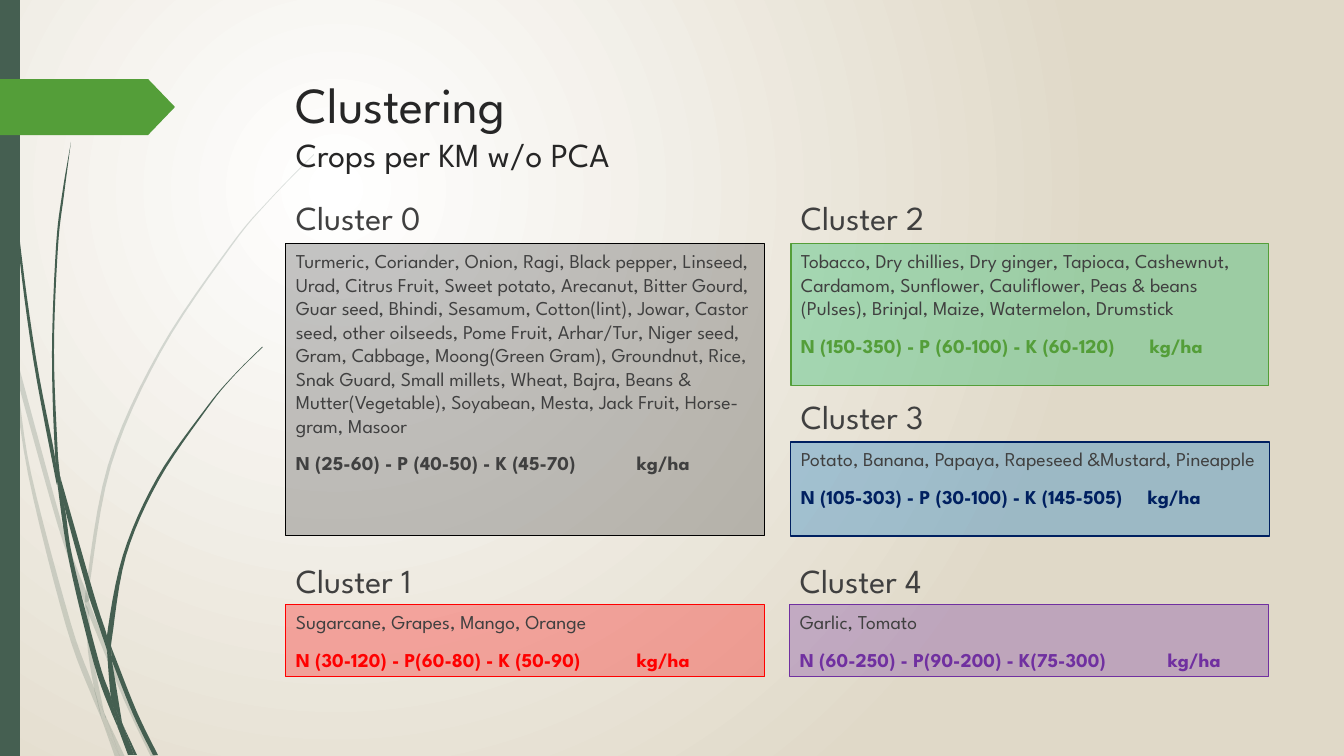
from lxml.etree import SubElement
from pptx import Presentation
from pptx.dml.color import RGBColor
from pptx.enum.shapes import MSO_SHAPE
from pptx.enum.text import MSO_ANCHOR, PP_ALIGN
from pptx.oxml.ns import qn
from pptx.util import Pt

EMU_PER_PX = 914400 / 100.8

WHITE = RGBColor(0xFF, 0xFF, 0xFF)
SAND = RGBColor(0xE0, 0xD9, 0xC8)
PINE = RGBColor(0x45, 0x5F, 0x51)
LEAF = RGBColor(0x54, 0x9E, 0x39)
INK = RGBColor(0x26, 0x26, 0x26)
GREY = RGBColor(0x40, 0x40, 0x40)
BLACK = RGBColor(0x00, 0x00, 0x00)
RED = RGBColor(0xFF, 0x00, 0x00)
GREEN = RGBColor(0x00, 0xB0, 0x50)
BLUE = RGBColor(0x00, 0x70, 0xC0)
NAVY = RGBColor(0x00, 0x20, 0x60)
PURPLE = RGBColor(0x70, 0x30, 0xA0)

# Grass pieces: points along one edge, then back along the other
PALE_GRASS = [
    ([(0, 284), (9, 325), (11, 353)], [(10, 347), (0, 301)]),
    ([(14, 348), (62, 524), (86, 591)], [(85, 604), (58, 526), (17, 379)]),
    ([(89, 601), (93, 612), (128, 698), (156, 757)], [(151, 757), (124, 700), (89, 615)]),
    ([(106, 717), (125, 757)], [(120, 757)]),
    ([(11, 353), (17, 379), (31, 473), (71, 624), (94, 688), (102, 720)],
     [(93, 699), (66, 626), (28, 474), (11, 353)]),
    ([(85, 604), (89, 613), (92, 651), (104, 712), (106, 717)],
     [(97, 698), (94, 688), (88, 651), (85, 604)]),
    ([(314, 154), (270, 199), (230, 246), (159, 351), (108, 465), (86, 589), (89, 601)],
     [(89, 589), (111, 466), (161, 352), (231, 247), (270, 200), (314, 155)]),
    ([(102, 720), (120, 757)], [(115, 757)]),
    ([(86, 591), (89, 601), (89, 615)], [(85, 604)]),
    ([(94, 688), (97, 698), (106, 717), (120, 757)], [(102, 720), (100, 713)]),
]
DARK_GRASS = [
    ([(4, 0), (5, 48), (8, 110), (19, 234), (36, 358), (55, 457), (57, 485)],
     [(56, 481), (33, 358), (17, 235), (7, 111), (4, 48), (3, 0)]),
    ([(60, 476), (94, 595), (107, 636), (107, 650)], [(89, 597), (65, 509), (60, 476)]),
    ([(111, 646), (114, 654), (137, 712), (158, 755)], [(153, 755), (133, 714), (112, 661)]),
    ([(57, 481), (65, 509), (73, 560), (99, 662), (111, 697), (118, 728)],
     [(112, 714), (94, 664), (69, 561), (57, 481)]),
    ([(71, 142), (62, 195), (56, 247), (52, 352), (55, 453), (60, 476)],
     [(58, 457), (54, 352), (58, 247), (64, 195), (71, 142)]),
    ([(123, 725), (137, 755)], [(134, 755)]),
    ([(55, 453), (60, 476), (65, 509)], [(57, 481)]),
    ([(262, 347), (233, 376), (206, 408), (157, 478), (123, 555), (107, 636), (111, 646)],
     [(112, 638), (126, 556), (159, 480), (207, 409), (233, 377), (263, 347)]),
    ([(118, 728), (132, 755)], [(128, 755)]),
    ([(107, 650), (110, 656), (112, 661), (122, 722), (123, 725)],
     [(117, 712), (111, 697), (107, 650)]),
    ([(107, 636), (111, 646), (112, 661)], [(107, 650)]),
    ([(111, 697), (117, 712), (123, 725), (134, 755)], [(131, 755), (118, 728)]),
]

# Name, heading (left, top), card (left, top, width, height), fill, line,
# nutrient colour, crops, nutrients, tab position of the unit
CLUSTERS = [
    ("Cluster 0", (286, 178), (286, 244, 479, 292), GREY, BLACK, GREY,
     "Turmeric, Coriander, Onion, Ragi, Black pepper, Linseed, Urad, Citrus Fruit, "
     "Sweet potato, Arecanut, Bitter Gourd, Guar seed, Bhindi, Sesamum, Cotton(lint), "
     "Jowar, Castor seed, other oilseeds, Pome Fruit, Arhar/Tur, Niger seed, Gram, "
     "Cabbage, Moong(Green Gram), Groundnut, Rice, Snak Guard, Small millets, Wheat, "
     "Bajra, Beans & Mutter(Vegetable), Soyabean, Mesta, Jack Fruit, Horse-gram, Masoor",
     "N (25-60) - P (40-50) - K (45-70)", 341),
    ("Cluster 1", (286, 541), (286, 605, 479, 72), RED, RED, RED,
     "Sugarcane, Grapes, Mango, Orange",
     "N (30-120) - P(60-80) - K (50-90)", 341),
    ("Cluster 2", (791, 178), (791, 244, 478, 142), GREEN, LEAF, LEAF,
     "Tobacco, Dry chillies, Dry ginger, Tapioca, Cashewnut, Cardamom, Sunflower, "
     "Cauliflower, Peas & beans (Pulses), Brinjal, Maize, Watermelon, Drumstick",
     "N (150-350) - P (60-100) - K (60-120)", 349),
    ("Cluster 3", (791, 377), (791, 442, 479, 94), BLUE, NAVY, NAVY,
     "Potato, Banana, Papaya, Rapeseed &Mustard, Pineapple",
     "N (105-303) - P (30-100) - K (145-505)", 347),
    ("Cluster 4", (790, 541), (790, 605, 479, 72), PURPLE, PURPLE, PURPLE,
     "Garlic, Tomato",
     "N (60-250) - P(90-200) - K(75-300)", 368),
]


def px(length):
    return round(length * EMU_PER_PX)


def smooth(points, steps=6):
    """Points of a Catmull-Rom curve through the given points."""
    padded = [points[0], *points, points[-1]]
    curve = []
    for a, b, c, d in zip(padded, padded[1:], padded[2:], padded[3:]):
        for step in range(steps):
            t = step / steps
            curve.append(tuple(
                0.5 * (2 * q + (r - p) * t + (2 * p - 5 * q + 4 * r - s) * t ** 2
                       + (3 * q - p - 3 * r + s) * t ** 3)
                for p, q, r, s in zip(a, b, c, d)))
    return curve + [points[-1]]


def write(frame, text, size=14, color=GREY, bold=False, before=0, tab=None):
    """Put text in the frame's empty first paragraph or in a new one."""
    first = frame.paragraphs[0]
    paragraph = frame.add_paragraph() if first.runs else first
    if tab:
        stops = SubElement(paragraph._p.get_or_add_pPr(), qn("a:tabLst"))
        SubElement(stops, qn("a:tab"), pos=str(px(tab)), algn="l")
    paragraph.alignment = PP_ALIGN.LEFT
    paragraph.space_before = Pt(before)
    run = paragraph.add_run()
    run.text = text
    run.font.name = SlideMaker.FONT
    run.font.size = Pt(size)
    run.font.bold = bold
    run.font.color.rgb = color


class SlideMaker:
    FONT = "League Spartan"

    def __init__(self, presentation):
        self.slide = presentation.slides.add_slide(presentation.slide_layouts[6])

    def background(self, inner, outer):
        fill = self.slide.background.fill
        fill.gradient()
        for stop, color in zip(fill.gradient_stops, (inner, outer)):
            stop.color.rgb = color
        gradient = self.slide._element.find(".//" + qn("a:gradFill"))
        gradient.remove(gradient.find(qn("a:lin")))
        circle = SubElement(gradient, qn("a:path"), path="circle")
        SubElement(circle, qn("a:fillToRect"), l="50000", t="50000", r="100000", b="100000")

    def paint(self, shape, fill, line=None, opacity=100):
        shape.shadow.inherit = False
        shape.fill.solid()
        shape.fill.fore_color.rgb = fill
        if opacity < 100:
            color = shape._element.spPr.find(qn("a:solidFill"))[0]
            SubElement(color, qn("a:alpha"), val=str(opacity * 1000))
        if line is None:
            shape.line.fill.background()
        else:
            shape.line.color.rgb = line
            shape.line.width = Pt(0.75)
        return shape

    def blade(self, edges, opacity):
        outline = [(px(x), px(y)) for edge in edges for x, y in smooth(edge)]
        builder = self.slide.shapes.build_freeform(*outline[0])
        builder.add_line_segments(outline[1:])
        self.paint(builder.convert_to_shape(), PINE, opacity=opacity)

    def block(self, kind, box, fill, **style):
        shape = self.slide.shapes.add_shape(kind, *map(px, box))
        return self.paint(shape, fill, **style)

    def textbox(self, box, anchor):
        frame = self.slide.shapes.add_textbox(*map(px, box)).text_frame
        frame.word_wrap = True
        frame.vertical_anchor = anchor
        return frame

    def cluster(self, name, corner, box, fill, line, accent, crops, nutrients, unit_tab):
        write(self.textbox((*corner, 440, 64), MSO_ANCHOR.BOTTOM), name, size=24)
        card = self.block(MSO_SHAPE.RECTANGLE, box, fill, line=line, opacity=30).text_frame
        card.word_wrap = True
        card.vertical_anchor = MSO_ANCHOR.TOP
        write(card, crops)
        write(card, nutrients + "\tkg/ha", color=accent, bold=True, before=10, tab=unit_tab)


def main():
    presentation = Presentation()
    presentation.slide_width, presentation.slide_height = px(1344), px(756)
    maker = SlideMaker(presentation)

    # Backdrop: gradient, grass, side bar and arrow tag
    maker.background(WHITE, SAND)
    for grass, opacity in ((PALE_GRASS, 20), (DARK_GRASS, 100)):
        for edges in grass:
            maker.blade(edges, opacity)
    maker.block(MSO_SHAPE.RECTANGLE, (0, 0, 20, 756), PINE)
    tag = maker.block(MSO_SHAPE.PENTAGON, (0, 79, 175, 56), LEAF)
    tag.adjustments[0] = 0.48

    # Title
    title = maker.textbox((286, 68, 983, 118), MSO_ANCHOR.TOP)
    write(title, "Clustering", size=36, color=INK)
    write(title, "Crops per KM w/o PCA", size=24, color=INK)

    # Clusters
    for cluster in CLUSTERS:
        maker.cluster(*cluster)

    presentation.save("out.pptx")


if __name__ == "__main__":
    main()
